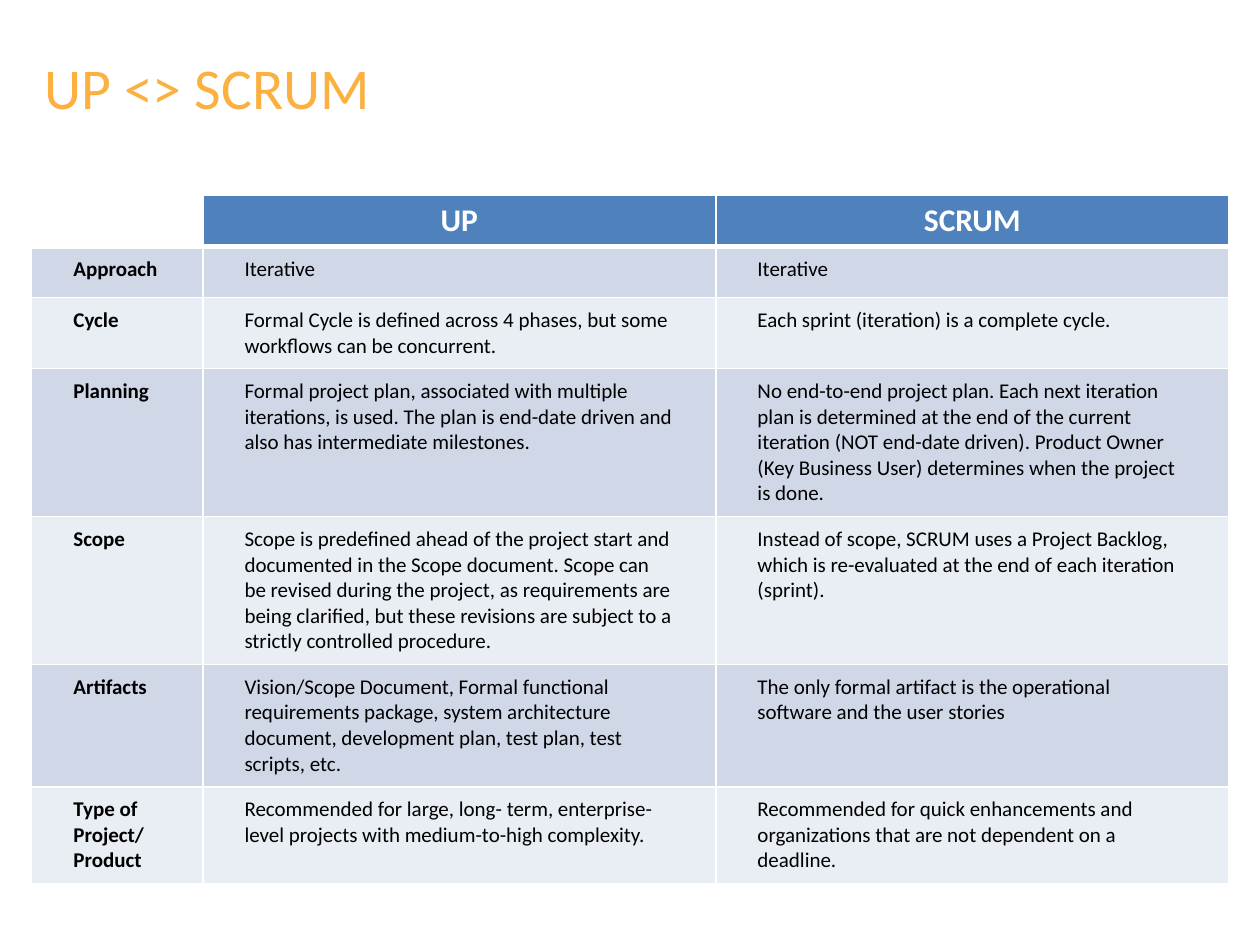
"""Build a slide with a table that compares UP and SCRUM."""
from lxml import etree
from pptx import Presentation
from pptx.dml.color import RGBColor
from pptx.enum.text import MSO_ANCHOR, PP_ALIGN
from pptx.oxml.ns import qn
from pptx.util import Cm, Pt

LEFT, CENTER = PP_ALIGN.LEFT, PP_ALIGN.CENTER
TOP, MIDDLE = MSO_ANCHOR.TOP, MSO_ANCHOR.MIDDLE
FONT = "Calibri"
COLORS = {
    "title": "FBB040",
    "head": "4F81BD",
    "odd": "D0D8E8",
    "even": "E9EDF4",
    "text": "000000",
    "white": "FFFFFF",
}
ROWS = [
    ("", "UP", "SCRUM"),
    ("Approach", "Iterative", "Iterative"),
    (
        "Cycle",
        "Formal Cycle is defined across 4 phases, but some workflows can be concurrent.",
        "Each sprint (iteration) is a complete cycle.",
    ),
    (
        "Planning",
        "Formal project plan, associated with multiple iterations, is used. "
        "The plan is end-date driven and also has intermediate milestones.",
        "No end-to-end project plan. Each next iteration plan is determined at the end "
        "of the current iteration (NOT end-date driven). Product Owner "
        "(Key Business User) determines when the project is done.",
    ),
    (
        "Scope",
        "Scope is predefined ahead of the project start and documented in the Scope "
        "document. Scope can be revised during the project, as requirements are being "
        "clarified, but these revisions are subject to a strictly controlled procedure.",
        "Instead of scope, SCRUM uses a Project Backlog, which is re-evaluated at the "
        "end of each iteration (sprint).",
    ),
    (
        "Artifacts",
        "Vision/Scope Document, Formal functional requirements package, system "
        "architecture document, development plan, test plan, test scripts, etc.",
        "The only formal artifact is the operational software and the user stories",
    ),
    (
        "Type of Project/\nProduct",
        "Recommended for large, long- term, enterprise-level projects with "
        "medium-to-high complexity.",
        "Recommended for quick enhancements and organizations that are not dependent "
        "on a deadline.",
    ),
]


def write(frame, text, size, color, bold, align):
    para = frame.paragraphs[0]
    para.alignment = align
    for num, line in enumerate(text.split("\n")):
        if num:
            para.add_line_break()
        run = para.add_run()
        run.text = line
        run.font.name = FONT
        run.font.size = Pt(size)
        run.font.bold = bold
        run.font.color.rgb = RGBColor.from_string(COLORS[color])


def border(cell, widths):
    props = cell._tc.get_or_add_tcPr()
    for side, width in widths.items():
        line = etree.SubElement(props, qn(f"a:ln{side}"), w=str(Pt(width)))
        fill = etree.SubElement(line, qn("a:solidFill"))
        etree.SubElement(fill, qn("a:srgbClr"), val=COLORS["white"])


deck = Presentation()
deck.slide_width, deck.slide_height = Cm(25.4), Cm(19.05)
slide = deck.slides.add_slide(deck.slide_layouts[5])

title = slide.shapes.title
title.left, title.top = Cm(0.64), Cm(0.76)
title.width, title.height = Cm(24.13), Cm(1.98)
title.text_frame.vertical_anchor = MIDDLE
write(title.text_frame, "UP <> SCRUM", 33, "title", False, LEFT)

table = slide.shapes.add_table(
    len(ROWS), 3, Cm(0.64), Cm(3.94), Cm(24.13), Cm(1.03 * len(ROWS))
).table
for col, width in zip(table.columns, (3.45, 10.34, 10.34)):
    col.width = Cm(width)

for r, row in enumerate(ROWS):
    table.rows[r].height = Cm(1.03)
    for c, text in enumerate(row):
        cell = table.cell(r, c)
        border(cell, {"L": 1, "R": 1, "T": 3 if r == 1 else 1, "B": 1 if r else 3})
        if r:
            tone = "odd" if r % 2 else "even"
            cell.margin_left = cell.margin_right = Cm(0.84)
            cell.margin_top = cell.margin_bottom = Cm(0.2)
        else:
            tone = "head" if c else "white"
        cell.fill.solid()
        cell.fill.fore_color.rgb = RGBColor.from_string(COLORS[tone])
        cell.vertical_anchor = TOP
        if r:
            write(cell.text_frame, text, 12, "text", c == 0, LEFT)
        elif text:
            write(cell.text_frame, text, 18, "white", True, CENTER)

deck.save("out.pptx")
